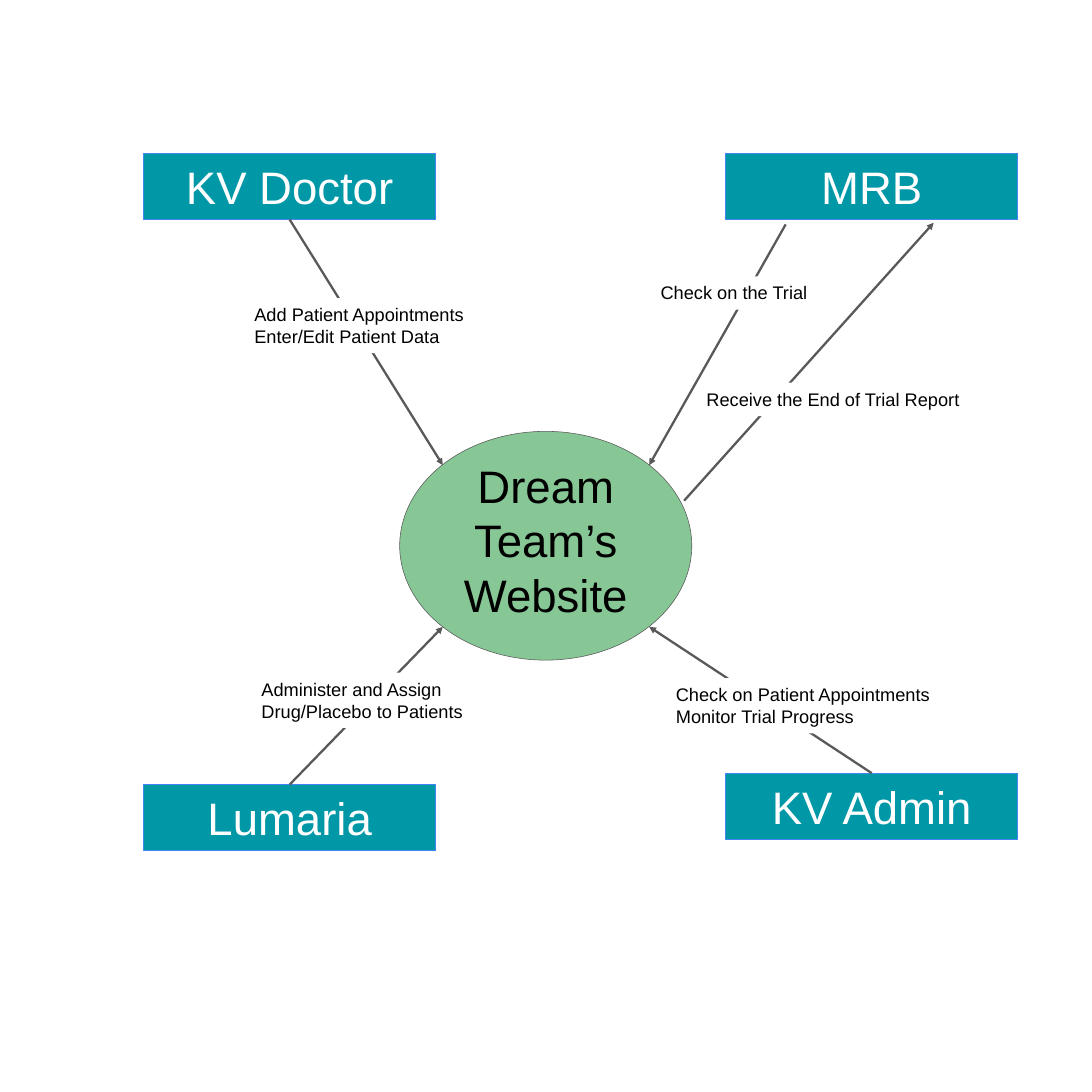
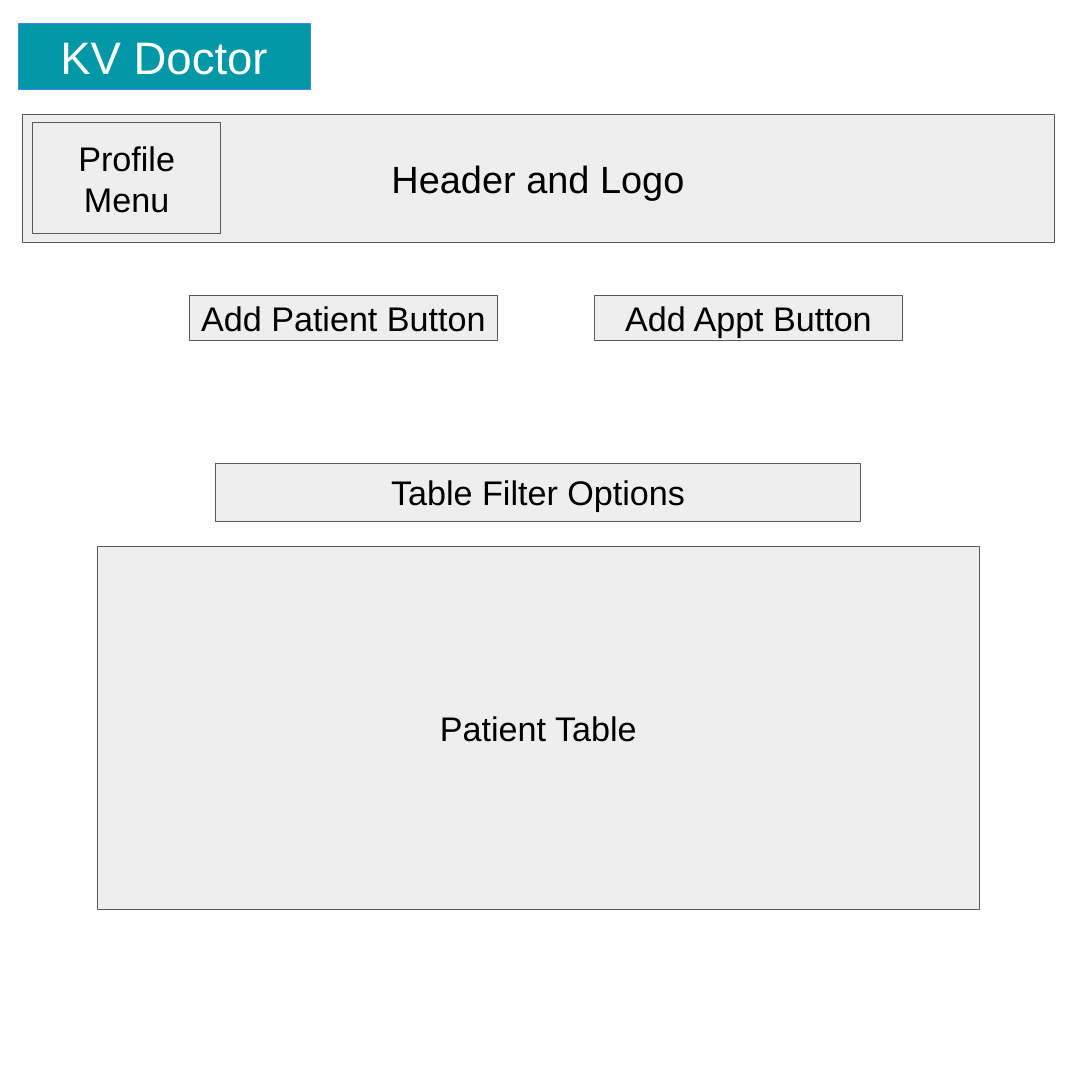
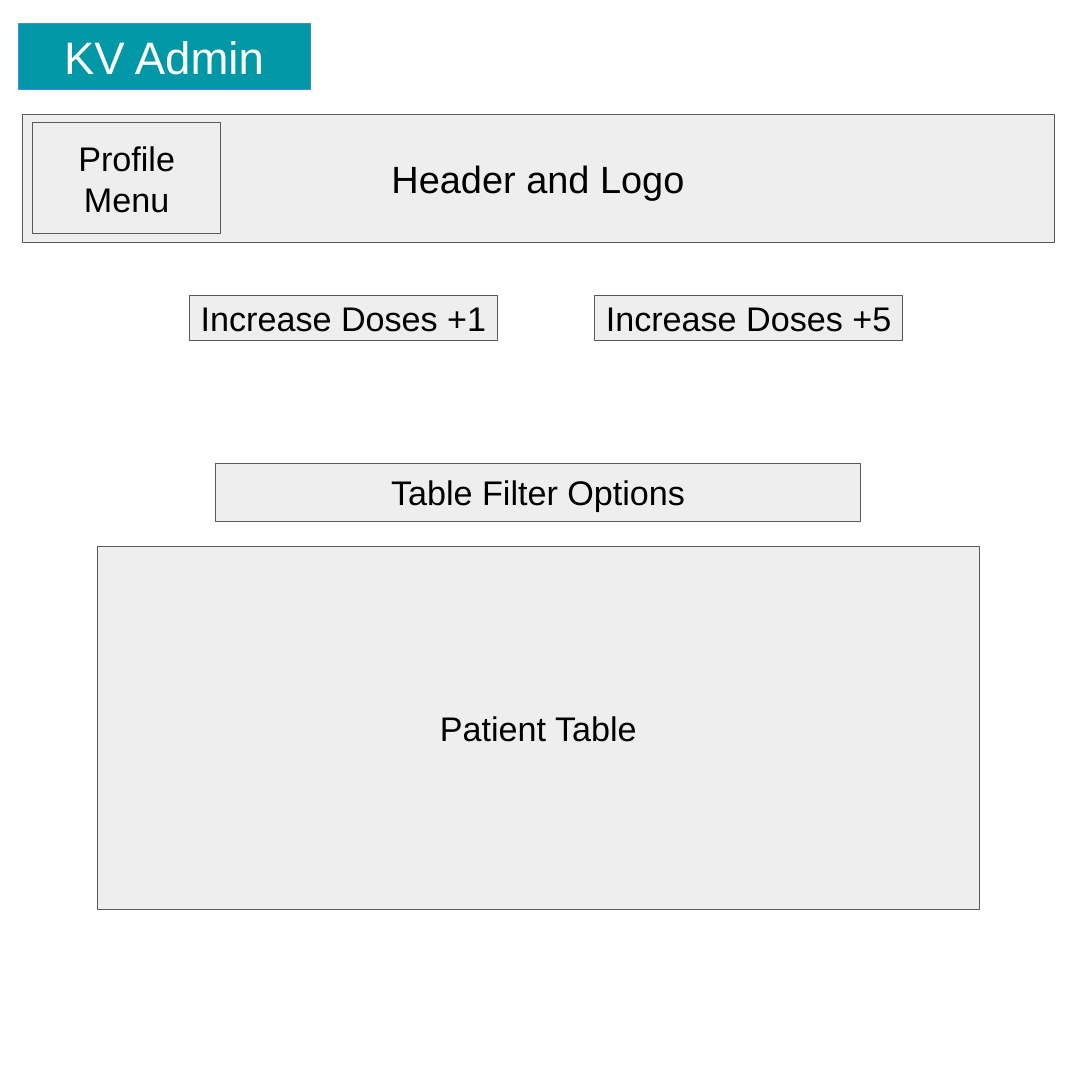
from lxml import etree
from pptx import Presentation
from pptx.dml.color import RGBColor
from pptx.enum import shapes, text
from pptx.oxml import ns
from pptx.util import Inches, Pt

COLORS = {
    "teal": "0097A7",
    "blue": "4285F4",
    "green": "87C796",
    "panel": "EEEEEE",
    "gray": "595959",
    "white": "FFFFFF",
    "black": "000000",
}
FONT = "Arial"
ROLE_SIZE = (5.35, 1.21)
ROLE_STYLE = {"size": 60, "fill": "teal", "line": "blue", "color": "white",
              "anchor": text.MSO_ANCHOR.TOP}


def style_shape(shape, words, size, fill, line=None, color="black",
                align=text.PP_ALIGN.CENTER, anchor=text.MSO_ANCHOR.MIDDLE):
    """Set the fill, outline and text of a shape."""
    shape.fill.solid()
    shape.fill.fore_color.rgb = RGBColor.from_string(COLORS[fill])
    if line:
        shape.line.color.rgb = RGBColor.from_string(COLORS[line])
        shape.line.width = Pt(0.75)
    frame = shape.text_frame
    frame.text = words
    frame.word_wrap = True
    frame.auto_size = text.MSO_AUTO_SIZE.NONE
    frame.vertical_anchor = anchor
    frame.margin_left = frame.margin_right = Inches(0.1)
    frame.margin_top = frame.margin_bottom = Inches(0.1)
    for paragraph in frame.paragraphs:
        paragraph.alignment = align
        paragraph.line_spacing = 1.0
        paragraph.font.name = FONT
        paragraph.font.size = Pt(size)
        paragraph.font.color.rgb = RGBColor.from_string(COLORS[color])


def add_box(slide, kind, place, words, **style):
    """Add a preset shape at (left, top, width, height) in inches."""
    shape = slide.shapes.add_shape(kind, *[Inches(value) for value in place])
    shape.shadow.inherit = False
    style_shape(shape, words, **style)
    return shape


presentation = Presentation()
presentation.slide_width = presentation.slide_height = Inches(20)
title_only, blank = presentation.slide_layouts[5], presentation.slide_layouts[6]
RECTANGLE = shapes.MSO_SHAPE.RECTANGLE

# Slide 1: context diagram
slide = presentation.slides.add_slide(blank)
roles = {}
for name, left, top in [("KV Doctor", 2.63, 2.81), ("KV Admin", 13.29, 14.16),
                        ("MRB", 13.29, 2.81), ("Lumaria", 2.63, 14.37)]:
    roles[name] = add_box(slide, RECTANGLE, (left, top, *ROLE_SIZE), name, **ROLE_STYLE)

website = add_box(slide, shapes.MSO_SHAPE.OVAL, (7.32, 7.9, 5.35, 4.19),
                  "Dream Team’s Website", size=60, fill="green", line="gray")
website.text_frame.margin_bottom = Inches(0.33)

# Arrows: start, end, and the role and side where the arrow is joined
arrows = [
    ((5.3, 4.02), (8.11, 8.52), "KV Doctor", 2),
    ((14.39, 4.11), (11.89, 8.52), None, None),
    ((15.96, 14.16), (11.89, 11.48), "KV Admin", 0),
    ((5.3, 14.37), (8.11, 11.48), "Lumaria", 0),
    ((12.53, 9.17), (17.1, 4.08), None, None),
]
for start, end, role, side in arrows:
    arrow = slide.shapes.add_connector(
        shapes.MSO_CONNECTOR.STRAIGHT, *[Inches(value) for value in start + end])
    if role:
        arrow.begin_connect(roles[role], side)
    arrow.line.color.rgb = RGBColor.from_string(COLORS["gray"])
    arrow.line.width = Pt(3)
    etree.SubElement(arrow.line._get_or_add_ln(), ns.qn("a:tailEnd"), type="triangle")
    etree.SubElement(arrow._element.spPr, ns.qn("a:effectLst"))

# Arrow labels
labels = [
    ((4.56, 5.46, 4.29, 1.01), "Add Patient Appointments\nEnter/Edit Patient Data"),
    ((4.69, 12.32, 4.29, 1.01), "Administer and Assign Drug/Placebo to Patients"),
    ((12.28, 12.42, 5.17, 1.01), "Check on Patient Appointments\nMonitor Trial Progress"),
    ((12, 5.06, 3.02, 0.61), "Check on the Trial"),
    ((12.84, 7.01, 5.17, 0.61), "Receive the End of Trial Report"),
]
for place, words in labels:
    label = slide.shapes.add_textbox(*[Inches(value) for value in place])
    style_shape(label, words, size=24, fill="white",
                align=text.PP_ALIGN.LEFT, anchor=text.MSO_ANCHOR.TOP)

# Slides 2 and 3: page wireframes
wireframes = [
    ("KV Doctor", "Add Patient Button", "Add Appt Button"),
    ("KV Admin", "Increase Doses +1", "Increase Doses +5"),
]
for role, left_button, right_button in wireframes:
    slide = presentation.slides.add_slide(title_only)
    title = slide.shapes.title
    title.left, title.top = Inches(0.33), Inches(0.43)
    title.width, title.height = [Inches(value) for value in ROLE_SIZE]
    style_shape(title, role, **ROLE_STYLE)

    panels = [
        ((3.47, 5.41, 5.64, 0.83), left_button, 45),
        ((10.89, 5.41, 5.64, 0.83), right_button, 45),
        ((0.4, 2.09, 18.91, 2.35), "Header and Logo", 50),
        ((0.6, 2.24, 3.44, 2.04), "Profile Menu", 45),
        ((1.78, 10, 16.16, 6.65), "Patient Table", 45),
        ((3.95, 8.48, 11.81, 1.06), "Table Filter Options", 45),
    ]
    for place, words, size in panels:
        add_box(slide, RECTANGLE, place, words, size=size, fill="panel", line="gray")

presentation.save("out.pptx")
